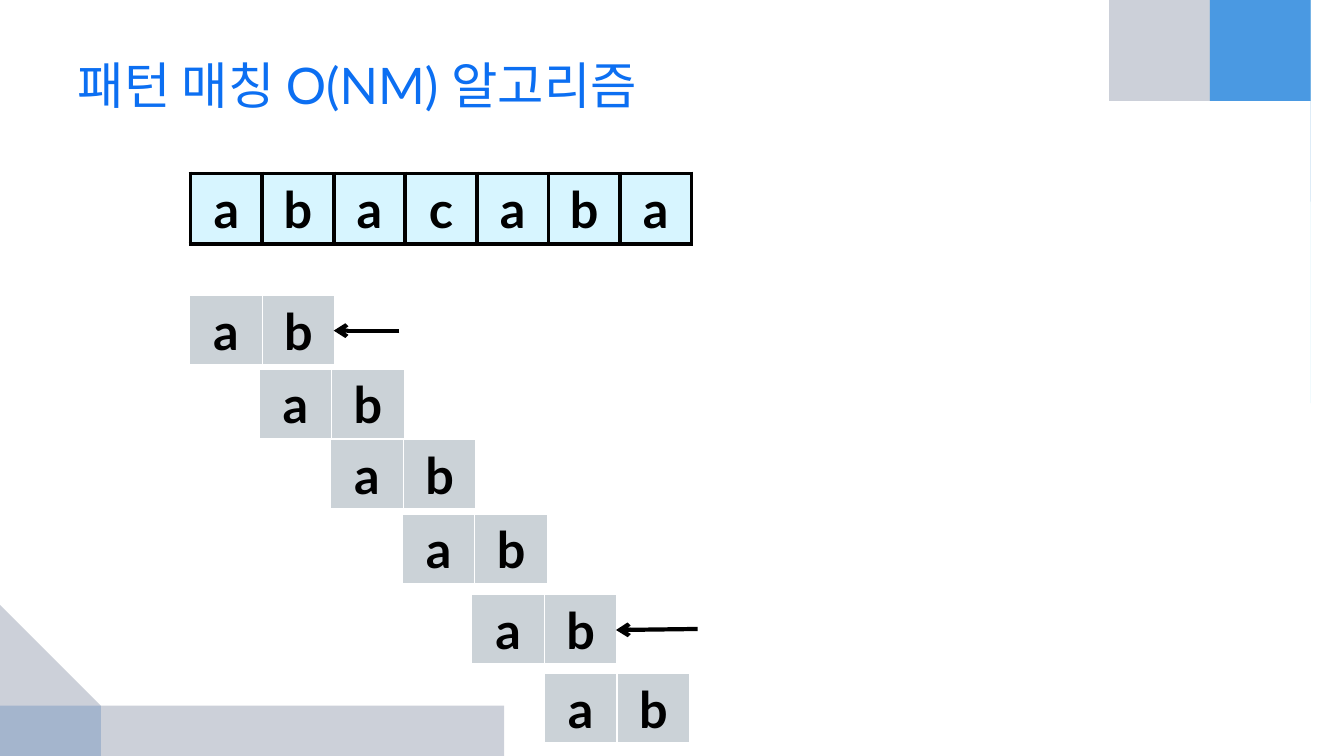
from pptx import Presentation
from pptx.dml.color import RGBColor
from pptx.enum.shapes import MSO_CONNECTOR
from pptx.enum.text import MSO_ANCHOR, PP_ALIGN
from pptx.oxml.ns import qn
from pptx.util import Inches, Pt
from lxml.etree import SubElement

BLACK = RGBColor(0x00, 0x00, 0x00)
WHITE = RGBColor(0xFF, 0xFF, 0xFF)
TITLE_BLUE = RGBColor(0x0C, 0x6F, 0xF2)
TEXT_CELL = RGBColor(0xD7, 0xF5, 0xFF)
PATTERN_CELL = RGBColor(0xCB, 0xD2, 0xD7)
CYAN = RGBColor(0x00, 0xB1, 0xE9)
NAVY = RGBColor(0x02, 0x17, 0x41)
BLUE = RGBColor(0x24, 0x7F, 0xF4)
DEEP_BLUE = RGBColor(0x08, 0x4A, 0xA1)

W, H = 13.33, 7.5
CELL = 0.71
TITLE_FONT = {"name": "Lato", "size": Pt(36), "bold": False}
CELL_FONT = {"name": "Lato", "size": Pt(36), "bold": True}
TEXT_BORDERS = {side: (BLACK, 3) for side in "LRTB"}
PATTERN_BORDERS = {"L": (WHITE, 1), "R": (WHITE, 1), "T": (WHITE, 1), "B": (WHITE, 3)}

# Each wave: slide corner, four Bezier points of its edge, colour, opacity in %
WAVES = [
    ((W, 0), [(W, 4.08), (13.27, 1.68), (12.49, 0.35), (11.89, 0)], CYAN, 45),
    ((W, 0), [(8.89, 0), (11.49, 0.23), (12.83, 0.95), (W, 2.15)], NAVY, 20),
    ((W, 0), [(8.89, 0), (11.49, 0.14), (12.86, 0.75), (W, 1.55)], BLUE, 49),
    ((0, H), [(0, 6.08), (0.53, 6.82), (2.1, 7.33), (5, H)], NAVY, 20),
    ((0, H), [(0, 4.58), (0.06, 6.4), (0.85, 7.25), (1.48, H)], DEEP_BLUE, 20),
]

# Left and top of the pattern at each shift along the text
SHIFTS = [(1.88, 2.93), (2.57, 3.66), (3.28, 4.36), (3.99, 5.1), (4.68, 5.9), (5.4, 6.68)]
MATCH_ARROWS = [((3.96, 3.28), (3.31, 3.28)), ((6.92, 6.24), (6.11, 6.25))]


def set_font(font, values, color):
    for name, value in values.items():
        setattr(font, name, value)
    font.color.rgb = color


def bezier(points, t):
    weights = ((1 - t) ** 3, 3 * t * (1 - t) ** 2, 3 * t * t * (1 - t), t ** 3)
    return tuple(sum(w * p[axis] for w, p in zip(weights, points)) for axis in (0, 1))


def add_wave(slide, corner, edge, color, opacity, steps=40):
    outline = [bezier(edge, i / steps) for i in range(steps + 1)]
    builder = slide.shapes.build_freeform(*corner, scale=Inches(1))
    builder.add_line_segments(outline, close=True)
    sp = builder.convert_to_shape()
    sp.shadow.inherit = False
    sp.line.fill.background()
    sp.fill.solid()
    sp.fill.fore_color.rgb = color
    srgb = sp.fill._xPr.find(f"{qn('a:solidFill')}/{qn('a:srgbClr')}")
    SubElement(srgb, qn("a:alpha"), val=str(opacity * 1000))


def add_title(slide, text, left, top, width, height):
    title = slide.shapes.title
    title.left, title.top = Inches(left), Inches(top)
    title.width, title.height = Inches(width), Inches(height)
    tf = title.text_frame
    tf.vertical_anchor = MSO_ANCHOR.MIDDLE
    p = tf.paragraphs[0]
    p.alignment = PP_ALIGN.LEFT
    r = p.add_run()
    r.text = text
    set_font(r.font, TITLE_FONT, TITLE_BLUE)


def set_borders(cell, borders):
    tcPr = cell._tc.get_or_add_tcPr()
    for i, (side, (color, width)) in enumerate(borders.items()):
        ln = SubElement(tcPr, qn(f"a:ln{side}"), w=str(Pt(width)))
        fill = SubElement(ln, qn("a:solidFill"))
        SubElement(fill, qn("a:srgbClr"), val=str(color))
        tcPr.insert(i, ln)


def add_letters(slide, letters, left, top, col_width, row_height, color, borders):
    frame = slide.shapes.add_table(1, len(letters), Inches(left), Inches(top),
                                   Inches(col_width * len(letters)), Inches(row_height))
    table = frame.table
    table.first_row = table.horz_banding = False
    for col, letter in enumerate(letters):
        table.columns[col].width = Inches(col_width)
        cell = table.cell(0, col)
        cell.fill.solid()
        cell.fill.fore_color.rgb = color
        cell.vertical_anchor = MSO_ANCHOR.MIDDLE
        p = cell.text_frame.paragraphs[0]
        p.alignment = PP_ALIGN.CENTER
        r = p.add_run()
        r.text = letter
        set_font(r.font, CELL_FONT, BLACK)
        set_borders(cell, borders)


def add_arrow(slide, start, end):
    points = [Inches(v) for v in (*start, *end)]
    line = slide.shapes.add_connector(MSO_CONNECTOR.STRAIGHT, *points)
    line.line.color.rgb = BLACK
    line.line.width = Pt(3)
    SubElement(line.line._get_or_add_ln(), qn("a:tailEnd"), type="arrow")
    SubElement(line._element.spPr, qn("a:effectLst"))


def build_matching_slide(prs):
    slide = prs.slides.add_slide(prs.slide_layouts[5])
    # Corner waves
    for wave in WAVES:
        add_wave(slide, *wave)
    # Title
    add_title(slide, "패턴 매칭 O(NM) 알고리즘", 0.67, 0.33, 12, 1.01)
    # Text being searched
    add_letters(slide, "abacaba", 1.89, 1.72, CELL, 0.7, TEXT_CELL, TEXT_BORDERS)
    # Pattern at every shift
    for left, top in SHIFTS:
        add_letters(slide, "ab", left, top, CELL + 0.01, 0.67, PATTERN_CELL, PATTERN_BORDERS)
    # Arrows at the matches
    for start, end in MATCH_ARROWS:
        add_arrow(slide, start, end)


def main():
    prs = Presentation()
    prs.slide_width, prs.slide_height = Inches(W), Inches(H)
    build_matching_slide(prs)
    prs.save("out.pptx")


if __name__ == "__main__":
    main()
